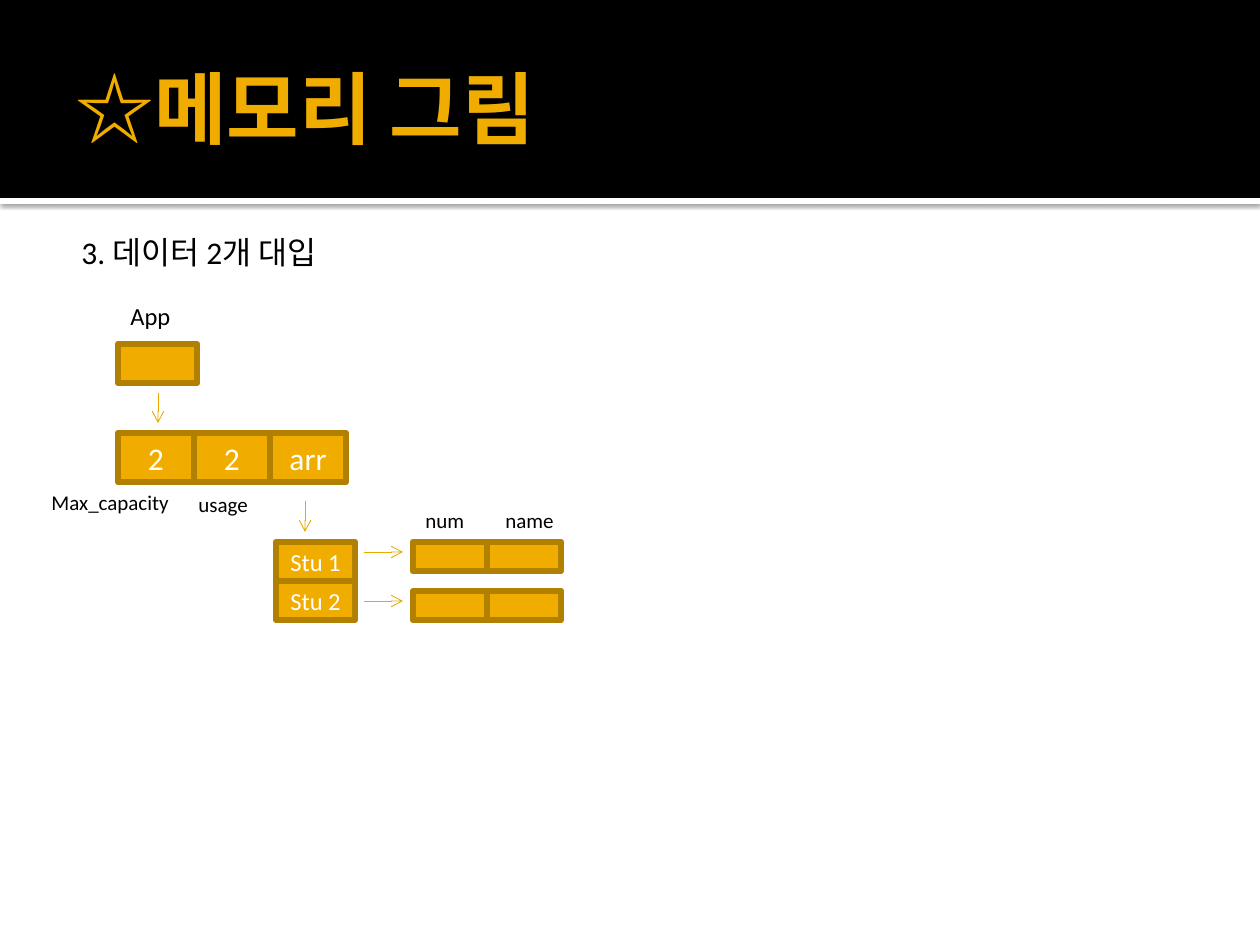
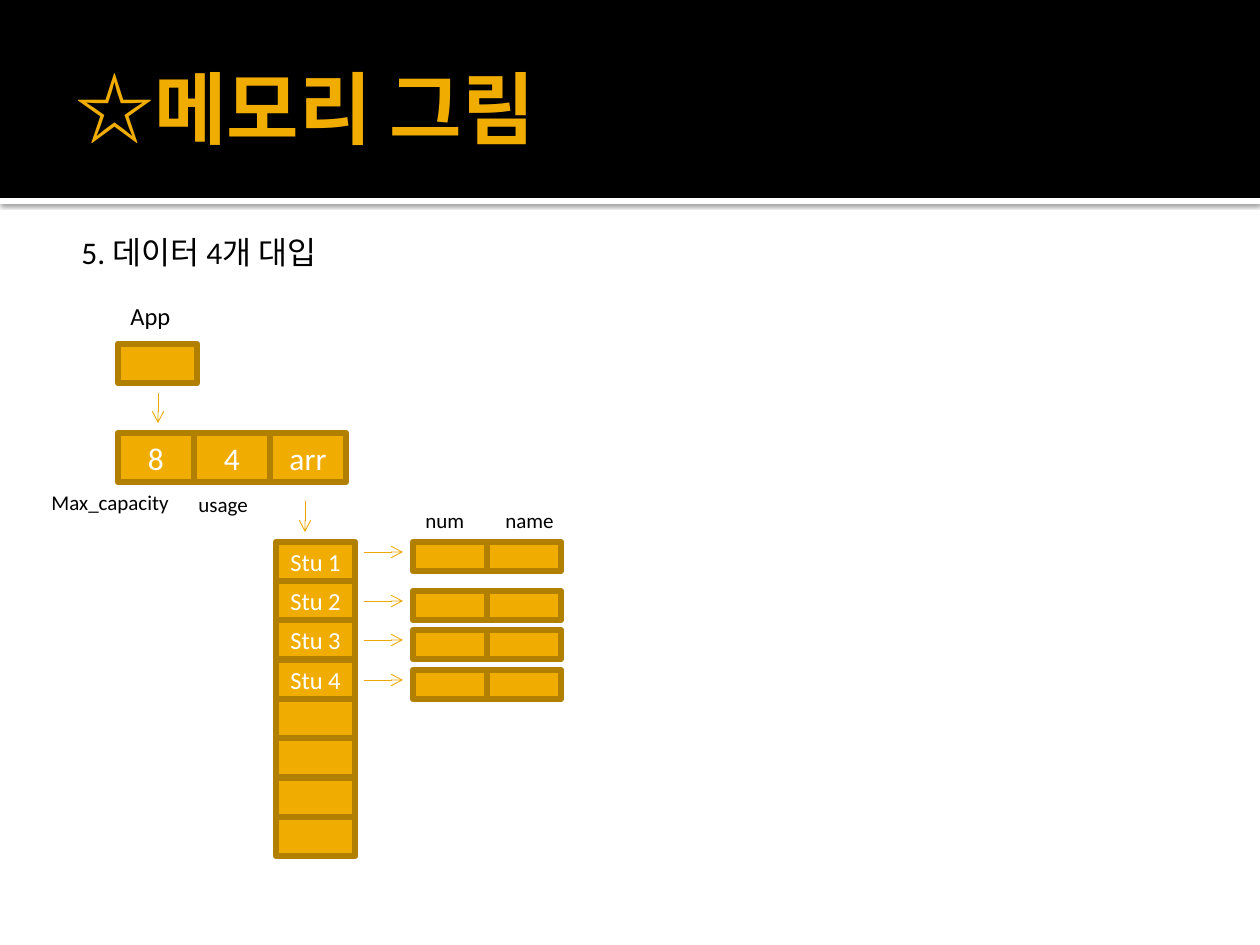
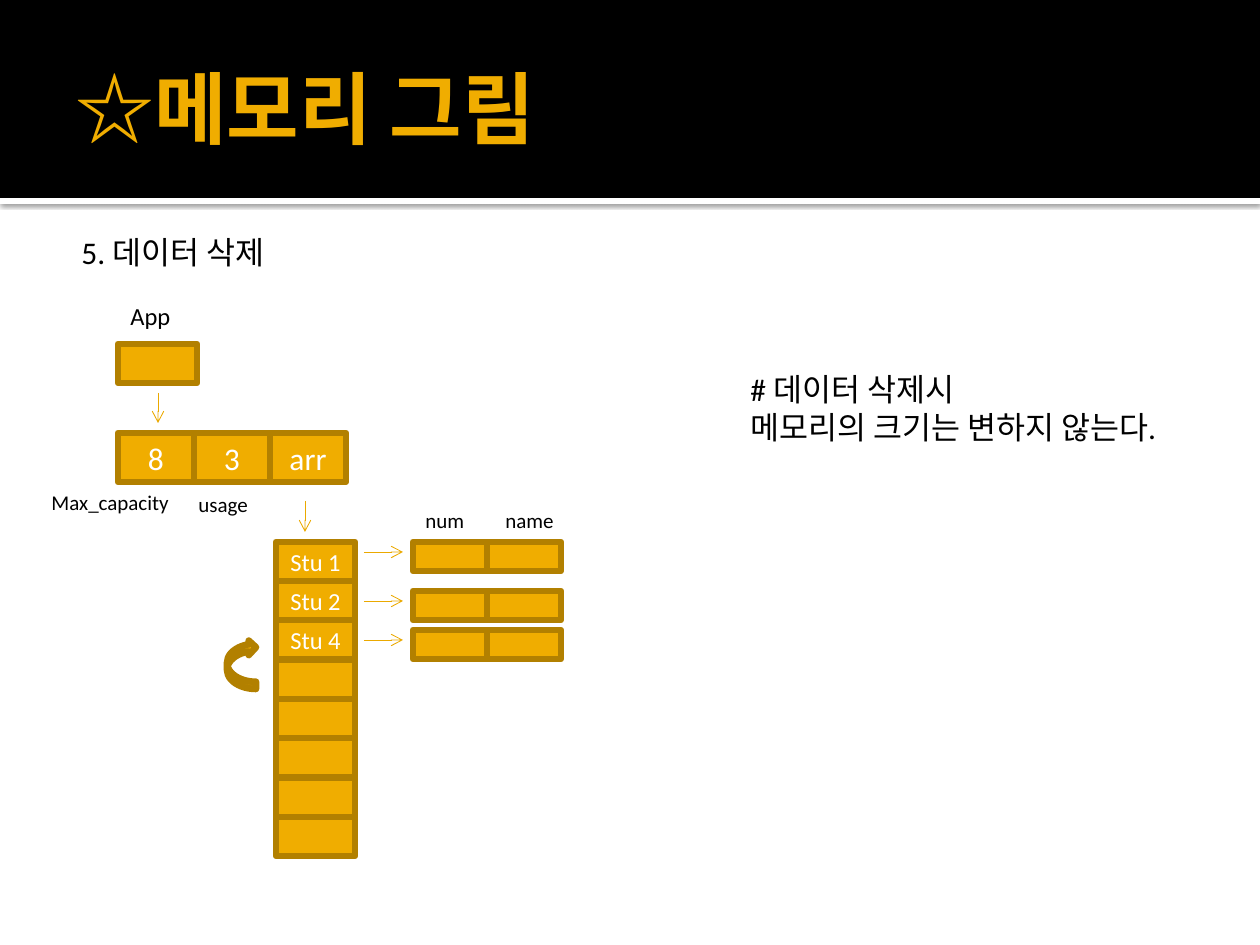
from lxml import etree
from pptx import Presentation
from pptx import util as u
from pptx.dml.color import RGBColor
from pptx.enum import shapes, text
from pptx.oxml.ns import qn

TITLE = "☆메모리 그림"
PAGES = [
    {"heading": "3. 데이터 2개 대입", "header": ["2", "2", "arr"],
     "students": ["Stu 1", "Stu 2"], "capacity": 2},
    {"heading": "5. 데이터 4개 대입", "header": ["8", "4", "arr"],
     "students": ["Stu 1", "Stu 2", "Stu 3", "Stu 4"], "capacity": 8},
    {"heading": "5. 데이터 삭제", "header": ["8", "3", "arr"],
     "students": ["Stu 1", "Stu 2", "Stu 4"], "capacity": 8,
     "note": "# 데이터 삭제시\n메모리의 크기는 변하지 않는다."},
]
# text, place (left, top, width, height), size
LABELS = [
    ("App", (118, 295, 67, 43), 14),
    ("Max_capacity", (39, 483, 146, 38), 12),
    ("usage", (186, 473, 88, 50), 12),
    ("num", (413, 501, 66, 38), 12),
    ("name", (493, 501, 79, 38), 12),
]
POINTERS = [(158, 393, 158, 423), (305, 501, 305, 532)]

COLORS = {"black": "000000", "white": "FFFFFF", "gold": "F0AD00",
          "border": "B28000", "arrow": "EBA900"}
FONT = "Calibri"
PX = 914400 / 126

HEADER_LEFT, HEADER_TOP, HEADER_WIDTH, HEADER_HEIGHT = 118, 433, 76, 49
ARRAY_LEFT, ARRAY_TOP, ARRAY_WIDTH, ARRAY_HEIGHT, ARRAY_SLOTS = 276, 542, 79, 315, 8
SLOT_HEIGHT = 39
RECORD_LEFT, RECORD_WIDTH, RECORD_HEIGHT = 413, 74, 29
RECORD_DROP = 10  # records after the first sit this much below their slot


def emu(*lengths):
    return [u.Emu(round(length * PX)) for length in lengths]


def rgb(name):
    return RGBColor.from_string(COLORS[name])


def write(shape, words, size=18, color="black", bold=False,
          align=text.PP_ALIGN.LEFT, anchor=text.MSO_ANCHOR.TOP):
    frame = shape.text_frame
    frame.word_wrap = True
    frame.vertical_anchor = anchor
    frame.text = words
    for para in frame.paragraphs:
        para.alignment = align
        for span in para.runs:
            span.font.name = FONT
            span.font.size = u.Pt(size)
            span.font.bold = bold
            span.font.color.rgb = rgb(color)


def add_label(page, words, place, **style):
    write(page.shapes.add_textbox(*emu(*place)), words, **style)


def add_box(page, place, fill="gold", border="border",
            kind=shapes.MSO_SHAPE.RECTANGLE):
    box = page.shapes.add_shape(kind, *emu(*place))
    box.shadow.inherit = False
    box.fill.solid()
    box.fill.fore_color.rgb = rgb(fill)
    if border:
        box.line.color.rgb = rgb(border)
        box.line.width = u.Pt(3.78)
    else:
        box.line.fill.background()
    return box


def add_cell(page, place, words="", size=18):
    cell = add_box(page, place)
    if words:
        write(cell, words, size=size, color="white",
              align=text.PP_ALIGN.CENTER, anchor=text.MSO_ANCHOR.MIDDLE)


def add_arrow(page, ends):
    arrow = page.shapes.add_connector(shapes.MSO_CONNECTOR.STRAIGHT, *emu(*ends))
    arrow.line.color.rgb = rgb("arrow")
    arrow.line.width = u.Pt(0.5)
    etree.SubElement(arrow.line._get_or_add_ln(), qn("a:tailEnd"), type="arrow")
    etree.SubElement(arrow.element.spPr, qn("a:effectLst"))


def cast_shadow(shape):
    effects = shape.element.spPr.find(qn("a:effectLst"))
    shadow = etree.SubElement(effects, qn("a:outerShdw"), blurRad=str(u.Pt(2.5)),
                              dist=str(u.Pt(0.8)), dir="5400000",
                              algn="tl", rotWithShape="0")
    color = etree.SubElement(shadow, qn("a:srgbClr"), val=COLORS["black"])
    etree.SubElement(color, qn("a:alpha"), val="60000")


def prepare_layout(layout, page):
    """Give the layout its title place and the bands, which are drawn on page and moved."""
    for holder in list(layout.placeholders):
        if holder.placeholder_format.idx:
            holder.element.getparent().remove(holder.element)
        else:
            holder.left, holder.top, holder.width, holder.height = emu(63, 21, 1134, 173)
    strip = add_box(page, (0, 198, 1260, 6), fill="white", border=None)
    cast_shadow(strip)
    band = add_box(page, (0, 0, 1260, 198), fill="black", border=None)
    for shape in (strip, band):
        layout.shapes.element.append(shape.element)


def fill_title(page):
    title = page.shapes.title
    write(title, TITLE, size=45, color="gold", bold=True,
          anchor=text.MSO_ANCHOR.MIDDLE)
    frame = title.text_frame
    frame.auto_size = text.MSO_AUTO_SIZE.NONE
    frame.margin_left = u.Inches(0.1)
    frame.margin_top = frame.margin_right = frame.margin_bottom = u.Inches(0.05)


def draw_header(page, values):
    add_cell(page, (118, 344, 79, 39))
    for column, value in enumerate(values):
        left = HEADER_LEFT + column * HEADER_WIDTH
        add_cell(page, (left, HEADER_TOP, HEADER_WIDTH, HEADER_HEIGHT), value)
    for words, place, size in LABELS:
        low = words == "usage"
        add_label(page, words, place, size=size,
                  anchor=text.MSO_ANCHOR.BOTTOM if low else text.MSO_ANCHOR.TOP)
    for ends in POINTERS:
        add_arrow(page, ends)


def draw_array(page, students, capacity):
    for slot in range(capacity):
        top = ARRAY_TOP + ARRAY_HEIGHT * slot // ARRAY_SLOTS
        words = students[slot] if slot < len(students) else ""
        add_cell(page, (ARRAY_LEFT, top, ARRAY_WIDTH, SLOT_HEIGHT), words, size=14)
        if words:
            draw_record(page, top + (RECORD_DROP if slot else 0))


def draw_record(page, top):
    for field in range(2):
        left = RECORD_LEFT + field * RECORD_WIDTH
        add_cell(page, (left, top, RECORD_WIDTH, RECORD_HEIGHT))
    add_arrow(page, (364, top + 10, 403, top + 10))


def draw_deletion(page, note):
    add_label(page, note, (738, 364, 466, 89))
    shift = add_box(page, (227, 640, 29, 49), kind=shapes.MSO_SHAPE.CURVED_LEFT_ARROW)
    shift.rotation = 180


def main():
    deck = Presentation()
    deck.slide_width, deck.slide_height = emu(1260, 945)
    layout = deck.slide_layouts[5]
    for number, content in enumerate(PAGES):
        page = deck.slides.add_slide(layout)
        if number == 0:
            prepare_layout(layout, page)
        fill_title(page)
        add_label(page, content["heading"], (69, 227, 444, 50))
        draw_header(page, content["header"])
        draw_array(page, content["students"], content["capacity"])
        if "note" in content:
            draw_deletion(page, content["note"])
    deck.save("out.pptx")


if __name__ == "__main__":
    main()
